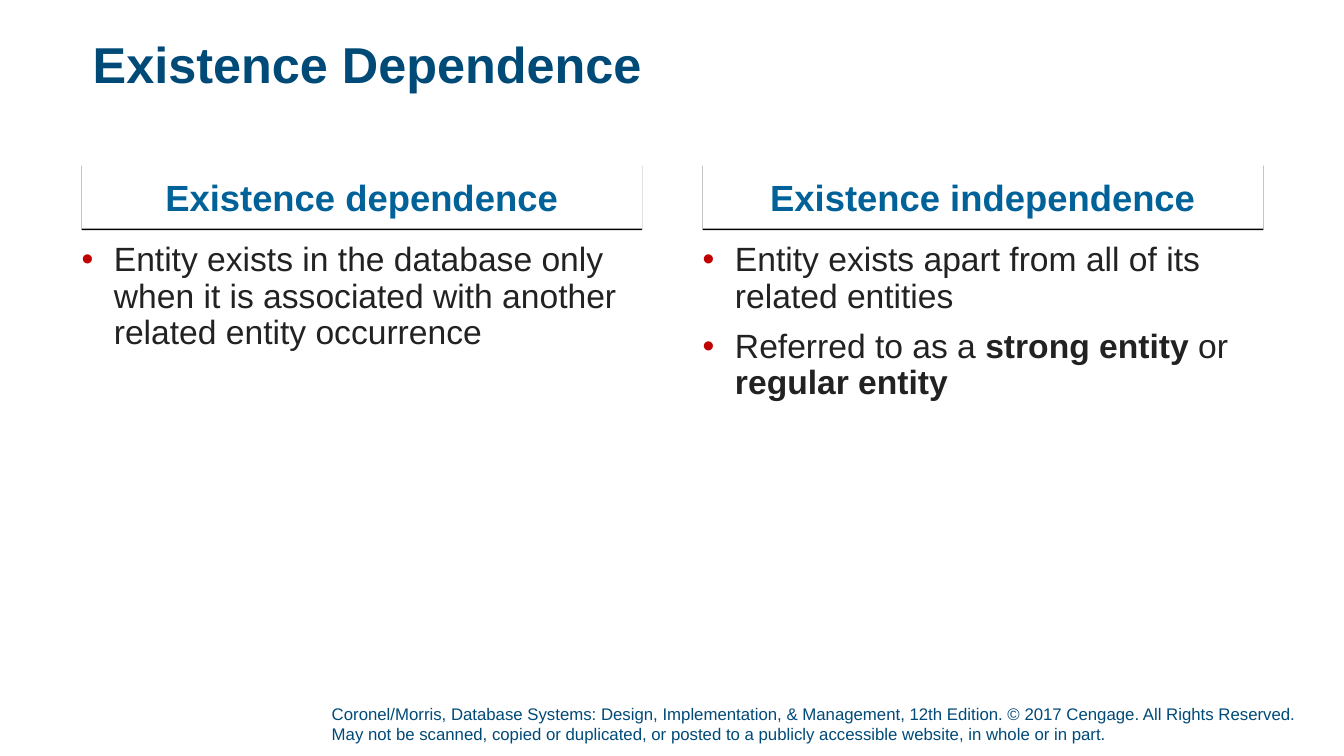
"""Build the Existence Dependence comparison slide."""
from lxml.etree import SubElement
from pptx import Presentation
from pptx.dml.color import RGBColor
from pptx.enum.shapes import MSO_SHAPE
from pptx.enum.text import MSO_ANCHOR, PP_ALIGN
from pptx.oxml.ns import qn
from pptx.util import Inches, Pt

NAVY = RGBColor(0x00, 0x4A, 0x78)
BLUE = RGBColor(0x00, 0x62, 0x98)
INK = RGBColor(0x22, 0x22, 0x22)
RED = RGBColor(0xC0, 0x00, 0x00)
BLACK = RGBColor(0x00, 0x00, 0x00)
WHITE = RGBColor(0xFF, 0xFF, 0xFF)

FONT = "Arial"
COLUMN_LEFT, COLUMN_WIDTH, GUTTER = 0.81, 5.56, 0.6
HEADING_TOP, HEADING_HEIGHT = 1.63, 0.64
BULLETS_TOP = 2.41
INDENT = Inches(0.32)

COLUMNS = [
    ("Existence dependence", 1.22, [
        ["Entity exists in the database only when it is associated with "
         "another related entity occurrence"],
    ]),
    ("Existence independence", 1.71, [
        ["Entity exists apart from all of its related entities"],
        ["Referred to as a ", "strong entity", " or ", "regular entity"],
    ]),
]
COPYRIGHT = (
    "Coronel/Morris, Database Systems: Design, Implementation, & Management, "
    "12th Edition. © 2017 Cengage. All Rights Reserved. May not be scanned, "
    "copied or duplicated, or posted to a publicly accessible website, "
    "in whole or in part."
)


def style_font(font, size, color, bold=False):
    """Apply the slide's typeface with a size, colour and weight."""
    font.name, font.size, font.bold = FONT, Pt(size), bold
    font.color.rgb = color


def set_frame(frame, anchor=MSO_ANCHOR.TOP, above=0, below=0):
    """Wrap a text frame with no side margins."""
    frame.word_wrap = True
    frame.vertical_anchor = anchor
    frame.margin_left = frame.margin_right = 0
    frame.margin_top, frame.margin_bottom = Inches(above), Inches(below)


def add_text(slide, box, **frame_options):
    """Add an empty text box and return its frame."""
    frame = slide.shapes.add_textbox(*map(Inches, box)).text_frame
    set_frame(frame, **frame_options)
    return frame


def add_line(slide, box, text, size, color, bold=False, **frame_options):
    """Add a text box holding one paragraph and return the paragraph."""
    paragraph = add_text(slide, box, **frame_options).paragraphs[0]
    paragraph.text = text
    style_font(paragraph.runs[0].font, size, color, bold)
    return paragraph


def add_drop_edge(shape):
    """Give a shape a sharp one-point shadow straight below."""
    effects = SubElement(shape.element.spPr, qn("a:effectLst"))
    shadow = SubElement(effects, qn("a:outerShdw"), blurRad="0",
                        dist=str(Pt(1)), dir="5400000", algn="t",
                        rotWithShape="0")
    SubElement(shadow, qn("a:srgbClr"), val=str(BLACK))


def add_heading(slide, left, text):
    """Add a white column heading with its shadow edge."""
    heading = slide.shapes.add_shape(
        MSO_SHAPE.RECTANGLE,
        *map(Inches, (left, HEADING_TOP, COLUMN_WIDTH, HEADING_HEIGHT)))
    heading.fill.solid()
    heading.fill.fore_color.rgb = WHITE
    heading.line.fill.background()
    add_drop_edge(heading)
    set_frame(heading.text_frame, MSO_ANCHOR.BOTTOM, above=0.1, below=0.1)
    paragraph = heading.text_frame.paragraphs[0]
    paragraph.text = text
    paragraph.alignment = PP_ALIGN.CENTER
    style_font(paragraph.runs[0].font, 26, BLUE, bold=True)


def set_bullet(paragraph):
    """Hang a red bullet in front of a paragraph."""
    properties = paragraph._p.get_or_add_pPr()
    properties.set("marL", str(INDENT))
    properties.set("indent", str(-INDENT))
    bullet_color = SubElement(properties, qn("a:buClr"))
    SubElement(bullet_color, qn("a:srgbClr"), val=str(RED))
    SubElement(properties, qn("a:buFont"), typeface=FONT)
    SubElement(properties, qn("a:buChar"), char="•")


def add_bullets(slide, box, points):
    """Add bulleted points whose every second part is bold."""
    frame = add_text(slide, box)
    for index, parts in enumerate(points):
        paragraph = frame.add_paragraph() if index else frame.paragraphs[0]
        set_bullet(paragraph)
        paragraph.line_spacing = 0.9
        paragraph.space_before = Pt(10 if index else 0)
        for position, part in enumerate(parts):
            run = paragraph.add_run()
            run.text = part
            style_font(run.font, 24, INK, bold=position % 2 == 1)


def main():
    """Assemble and save the slide."""
    deck = Presentation()
    deck.slide_width, deck.slide_height = Inches(13.33), Inches(7.5)
    slide = deck.slides.add_slide(deck.slide_layouts[6])

    add_line(slide, (3.29, 6.98, 9.79, 0.45), COPYRIGHT, 12, NAVY,
             anchor=MSO_ANCHOR.BOTTOM, below=0.05)
    title = add_line(slide, (0.92, 0.4, 11.5, 0.74),
                     "Existence Dependence", 36, NAVY, bold=True)
    title.line_spacing = 0.9

    for column, (heading, height, points) in enumerate(COLUMNS):
        left = COLUMN_LEFT + column * (COLUMN_WIDTH + GUTTER)
        add_heading(slide, left, heading)
        add_bullets(slide, (left, BULLETS_TOP, COLUMN_WIDTH, height), points)

    deck.save("out.pptx")


if __name__ == "__main__":
    main()
